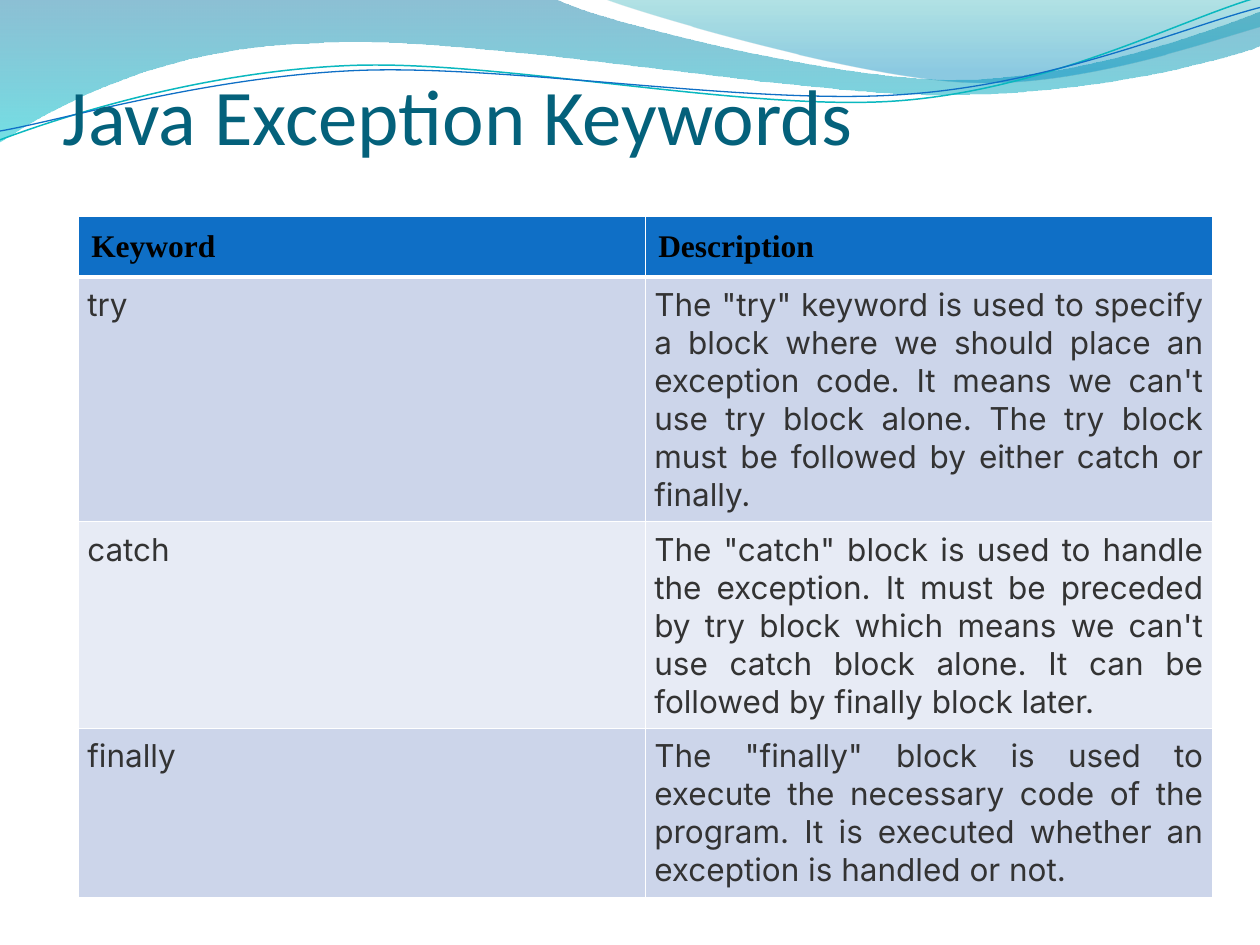
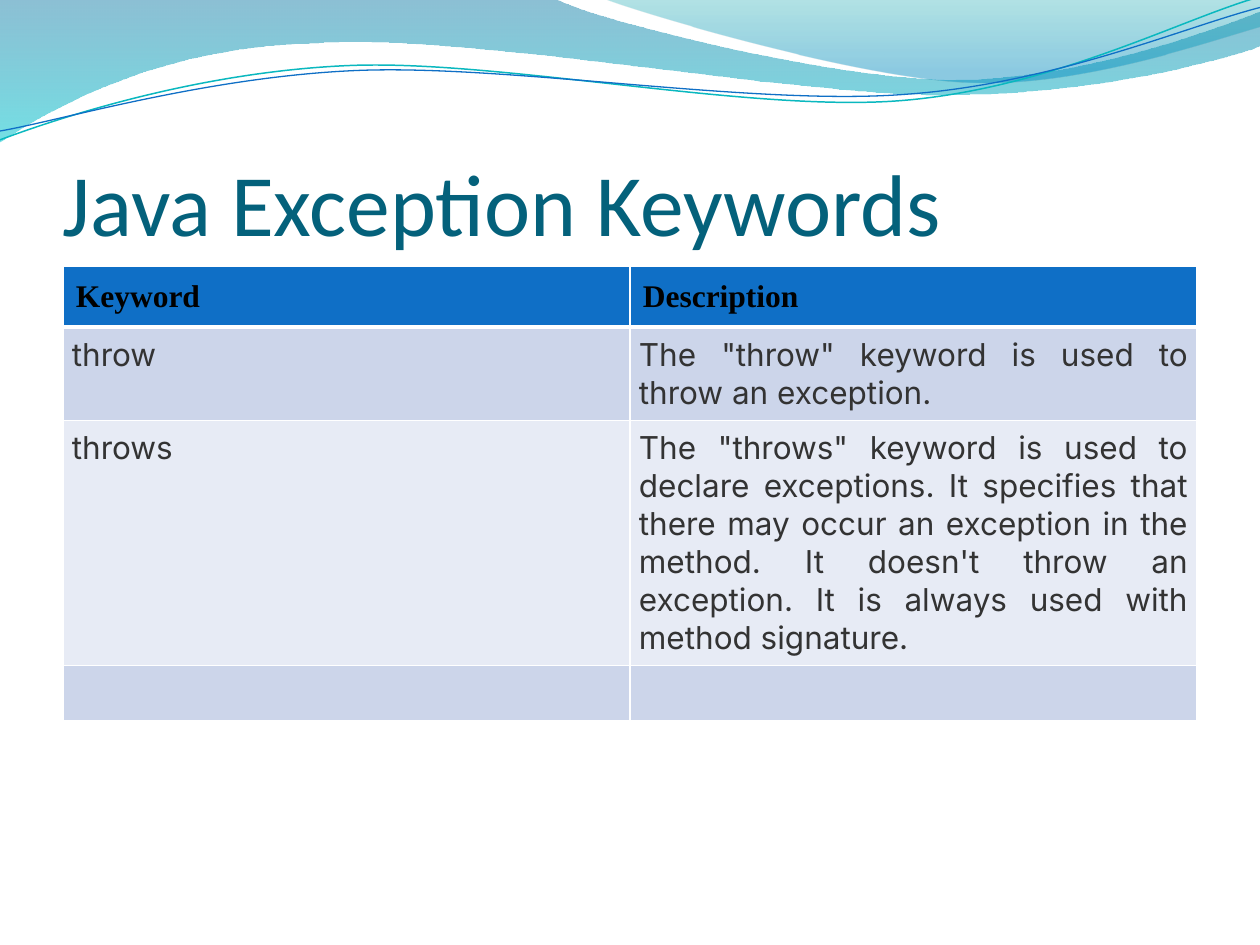
"""Two slides on the Java exception keywords, under a shared wave header."""
import math
from dataclasses import dataclass
from typing import Any, Optional

import lxml.etree
import pptx
import pptx.dml.color
import pptx.enum.text
import pptx.oxml.ns
import pptx.util

Cm, Pt = pptx.util.Cm, pptx.util.Pt
RGB = pptx.dml.color.RGBColor.from_string
qn = pptx.oxml.ns.qn
ALIGN = pptx.enum.text.PP_ALIGN
GRID = Cm(2.54)  # one unit of the wave coordinates
LINE_HEIGHT = 1.23  # title line height, as a multiple of its size


@dataclass(frozen=True)
class TextStyle:
    """Font, paragraph alignment and cell margins of one kind of text."""
    name: str
    size: float
    color: str
    bold: bool = False
    align: Any = ALIGN.LEFT
    margin: float = 0
    margin_bottom: float = 0


@dataclass(frozen=True)
class Theme:
    """Colours and type shared by the slides."""
    title: TextStyle = TextStyle("Calibri", 50, "04617B")
    header: TextStyle = TextStyle("Times New Roman", 18, "000000", True,
                                  margin=0.26, margin_bottom=0.2)
    body: TextStyle = TextStyle("Inter", 18, "333333", align=ALIGN.JUSTIFY,
                                margin=0.18, margin_bottom=0.18)
    header_fill: str = "0F6FC6"
    band_fills: tuple = ("CCD5EA", "E7EBF5")
    border: str = "FFFFFF"
    thin: float = 1
    thick: float = 3


@dataclass(frozen=True)
class Stop:
    """A gradient stop: position and opacity are percentages."""
    position: int
    color: str
    opacity: int


@dataclass(frozen=True)
class Wave:
    """A curved outline; a segment holds 2 numbers (line) or 6 (Bezier)."""
    start: tuple
    segments: tuple
    stops: tuple = ()
    line: Optional[str] = None
    width: float = 0
    rotation: float = 0
    pivot: tuple = (0, 0)


@dataclass(frozen=True)
class KeywordSlide:
    """Title size, blank title lines below the text, and the keyword table."""
    title_size: float
    lines_below: int
    left: float
    top: float
    height: float
    rows: tuple


THEME = Theme()
TITLE = "Java Exception Keywords"
HEADER = ("Keyword", "Description")
ROW_HEIGHT = 1.04
EMPTY_ROW_HEIGHT = 1.11
COLUMN_WIDTH = 11.43
TILT = 357.3

WAVES = (
    Wave((0, 0), (
        (4.4, -0.01),
        (4.76, 0.17, 6.64, 0.63, 7.58, 0.63),
        (8.53, 0.63, 9.58, 0.26, 10, 0.09),
        (10.01, 0.36),
        (9.83, 0.44, 8.7, 0.76, 7.46, 0.75),
        (6.22, 0.75, 3.82, 0.28, 2.57, 0.34),
        (1.29, 0.36, 0.46, 0.83, -0.01, 1.13),
        (0, 0),
    ), stops=(Stop(0, "0074A1", 45), Stop(100, "00C6CF", 55))),
    Wave((4.79, -0.01), (
        (5.09, 0.11, 6.82, 0.62, 7.69, 0.65),
        (8.56, 0.69, 9.61, 0.32, 10, 0.21),
        (10, 0),
        (4.79, -0.01),
    ), stops=(Stop(0, "00A1A9", 30), Stop(80, "008BBF", 45))),
    Wave((0, 1.11), (
        (0.48, 0.93, 1.58, 0.57, 2.77, 0.52),
        (3.95, 0.47, 5.93, 0.89, 7.13, 0.8),
        (8.33, 0.71, 9.38, 0.15, 9.98, -0.02),
    ), line="0AB8BF", width=0.85, rotation=TILT, pivot=(4.99, 0.58)),
    Wave((0, 1.04), (
        (0.47, 0.96, 1.64, 0.61, 2.83, 0.56),
        (4.03, 0.51, 5.97, 0.84, 7.17, 0.75),
        (8.36, 0.67, 9.41, 0.21, 10, 0.06),
    ), line="0F6FC6", width=0.75, rotation=TILT, pivot=(5, 0.59)),
)

SLIDES = (
    KeywordSlide(45, 1, 1.58, 4.36, 12.95, (
        ("try", 'The "try" keyword is used to specify a block where we should place '
                "an exception code. It means we can't use try block alone. The try "
                "block must be followed by either catch or finally."),
        ("catch", 'The "catch" block is used to handle the exception. It must be '
                  "preceded by try block which means we can't use catch block alone. "
                  "It can be followed by finally block later."),
        ("finally", 'The "finally" block is used to execute the necessary code of the '
                    "program. It is executed whether an exception is handled or not."),
    )),
    KeywordSlide(50, 0, 1.27, 5.37, 8.31, (
        ("throw", 'The "throw" keyword is used to throw an exception.'),
        ("throws", 'The "throws" keyword is used to declare exceptions. It specifies '
                   "that there may occur an exception in the method. It doesn't throw "
                   "an exception. It is always used with method signature."),
        ("", ""),
    )),
)


def set_all(obj: Any, values: dict) -> None:
    """Set each named attribute of an object."""
    for name, value in values.items():
        setattr(obj, name, value)


def write(tf: Any, text: str, style: TextStyle, size: Optional[float] = None) -> None:
    """Write one styled paragraph into a text frame."""
    p = tf.paragraphs[0]
    p.alignment = style.align
    r = p.add_run()
    r.text = text
    set_all(r.font, {"name": style.name, "size": Pt(size or style.size), "bold": style.bold})
    r.font.color.rgb = RGB(style.color)


def outline(wave: Wave) -> list:
    """Return the end and control points of a wave before its rotation."""
    flat = [*wave.start, *(value for seg in wave.segments for value in seg)]
    turn = math.radians(-wave.rotation)
    cos, sin = math.cos(turn), math.sin(turn)
    px, py = wave.pivot
    return [(round((px + (x - px) * cos - (y - py) * sin) * GRID),
             round((py + (x - px) * sin + (y - py) * cos) * GRID))
            for x, y in zip(flat[::2], flat[1::2])]


def bend(sp: Any, segments: tuple) -> None:
    """Turn each three line steps of a Bezier segment into one curve."""
    steps = iter(list(sp.element.iter(qn("a:lnTo"))))
    for seg in segments:
        first = next(steps)
        if len(seg) == 2:
            continue
        curve = lxml.etree.Element(qn("a:cubicBezTo"))
        first.addprevious(curve)
        for step in (first, next(steps), next(steps)):
            curve.append(step[0])
            step.getparent().remove(step)


def fill_gradient(sp: Any, stops: tuple) -> None:
    """Fill a shape with a translucent gradient running downwards."""
    sp.fill.gradient()
    sp.fill.gradient_angle = 270
    for target, stop in zip(sp.fill.gradient_stops, stops):
        target.position = stop.position / 100
        target.color.rgb = RGB(stop.color)
    colors = sp.element.spPr.iter(qn("a:srgbClr"))
    for color, stop in zip(colors, stops):
        lxml.etree.SubElement(color, qn("a:alpha"), val=str(stop.opacity * 1000))


def draw_wave(slide: Any, wave: Wave) -> Any:
    """Draw one filled band or one thin line of the header."""
    start, *rest = outline(wave)
    builder = slide.shapes.build_freeform(*start)
    builder.add_line_segments(rest, close=bool(wave.stops))
    sp = builder.convert_to_shape()
    bend(sp, wave.segments)
    sp.shadow.inherit = False
    sp.rotation = wave.rotation
    if wave.stops:
        fill_gradient(sp, wave.stops)
        sp.line.fill.background()
    else:
        sp.fill.background()
        sp.line.color.rgb = RGB(wave.line)
        sp.line.width = Pt(wave.width)
    return sp


def share_waves(prs: Any, slide: Any) -> None:
    """Draw the header waves once and move them to the back of the master."""
    tree = prs.slide_master.shapes._spTree
    for i, wave in enumerate(WAVES):
        element = draw_wave(slide, wave).element
        element.nvSpPr.cNvPr.set("id", str(100 + i))
        tree.insert(2 + i, element)


def draw_title(slide: Any, page: KeywordSlide) -> None:
    """Draw the title, raised by the lines left free below it."""
    tf = slide.shapes.add_textbox(Cm(1.27), Cm(1.95), Cm(22.86), Cm(3.17)).text_frame
    set_all(tf, {
        "word_wrap": True,
        "vertical_anchor": pptx.enum.text.MSO_ANCHOR.BOTTOM,
        "margin_left": 0, "margin_right": 0, "margin_top": Cm(0.13),
        "margin_bottom": Pt(page.lines_below * page.title_size * LINE_HEIGHT),
    })
    write(tf, TITLE, THEME.title, page.title_size)


def set_borders(cell: Any) -> None:
    """Give a header cell its four border lines, which precede its fill."""
    tc_pr = cell._tc.get_or_add_tcPr()
    for i, tag in enumerate(("lnL", "lnR", "lnT", "lnB")):
        width = THEME.thick if tag == "lnB" else THEME.thin
        ln = lxml.etree.Element(qn(f"a:{tag}"), w=str(Pt(width)))
        fill = lxml.etree.SubElement(ln, qn("a:solidFill"))
        lxml.etree.SubElement(fill, qn("a:srgbClr"), val=THEME.border)
        tc_pr.insert(i, ln)


def draw_table(slide: Any, page: KeywordSlide) -> None:
    """Draw the keyword table with a header row and banded body rows."""
    rows = (HEADER, *page.rows)
    frame = slide.shapes.add_table(
        len(rows), len(HEADER), Cm(page.left), Cm(page.top),
        Cm(COLUMN_WIDTH * len(HEADER)), Cm(page.height))
    table = frame.table
    for i, texts in enumerate(rows):
        table.rows[i].height = Cm(ROW_HEIGHT if any(texts) else EMPTY_ROW_HEIGHT)
        style = THEME.body if i else THEME.header
        color = THEME.band_fills[(i - 1) % 2] if i else THEME.header_fill
        for j, text in enumerate(texts):
            cell = table.cell(i, j)
            cell.fill.solid()
            cell.fill.fore_color.rgb = RGB(color)
            if i == 0:
                set_borders(cell)
            if text:
                sides = ("left", "top", "right")
                set_all(cell, {f"margin_{side}": Cm(style.margin) for side in sides})
                cell.margin_bottom = Cm(style.margin_bottom)
                write(cell.text_frame, text, style)
    frame.height = Cm(page.height)


def main() -> None:
    """Build and save the presentation."""
    prs = pptx.Presentation()
    set_all(prs, {"slide_width": Cm(25.4), "slide_height": Cm(19.05)})
    slides = [prs.slides.add_slide(prs.slide_layouts[6]) for _ in SLIDES]
    share_waves(prs, slides[0])
    for slide, page in zip(slides, SLIDES):
        draw_title(slide, page)
        draw_table(slide, page)
    prs.save("out.pptx")


main()
